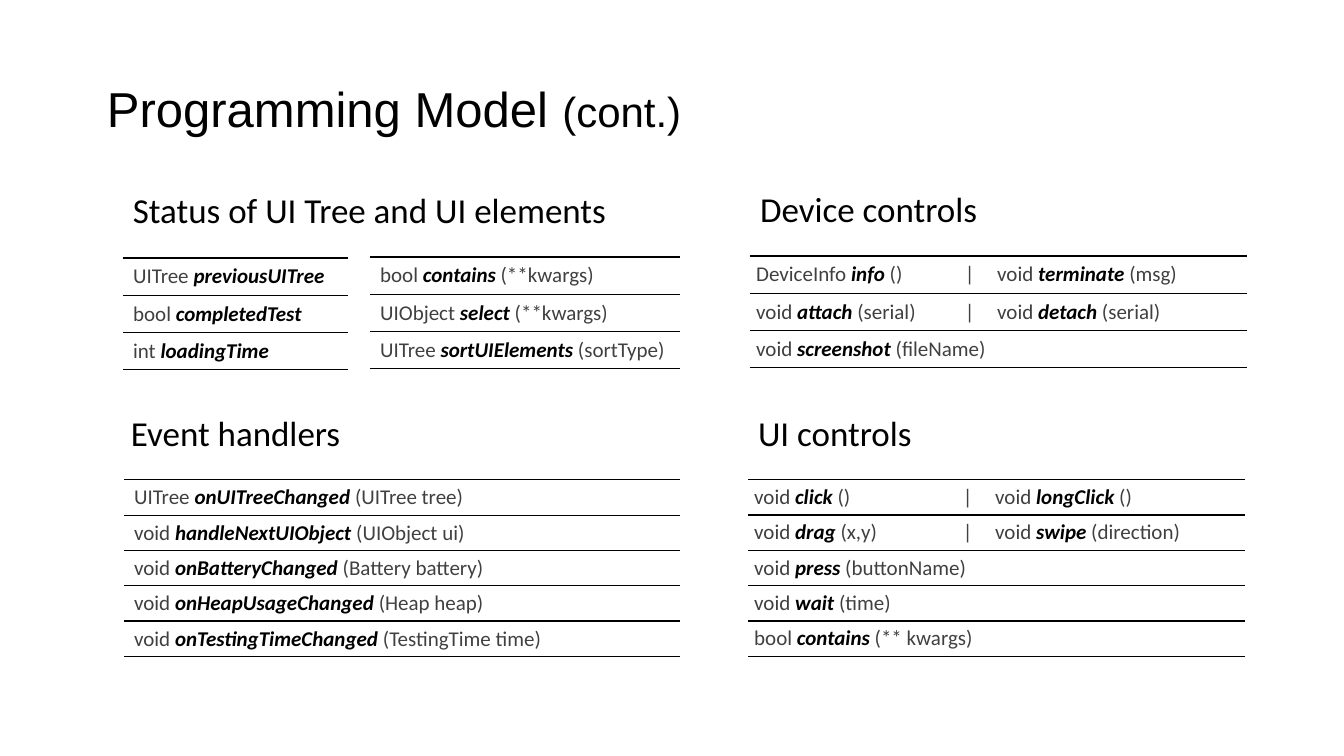
from dataclasses import dataclass
from typing import NamedTuple

import pptx
import pptx.dml.color
import pptx.enum.text
import pptx.oxml
import pptx.oxml.ns
import pptx.util
from pptx.util import Inches


@dataclass(frozen=True)
class Theme:
    ink: str = "000000"
    muted: str = "404040"
    title_font: str = "Arial"
    body_font: str = "Calibri"
    title_size: float = 35
    suffix_size: float = 30
    heading_size: float = 25
    body_size: float = 15
    rule_width: float = 1


class Call(NamedTuple):
    kind: str
    name: str
    args: str = ""


class Heading(NamedTuple):
    text: str
    left: float
    top: float
    width: float


class Listing(NamedTuple):
    left: float
    top: float
    width: float
    row_height: float
    rows: list[list[Call]]
    margin_x: float = 0.1
    margin_y: float = 0.05


THEME = Theme()
TAB_STOPS = (2.07, 2.39)

HEADINGS = [
    Heading("Status of UI Tree and UI elements", 1.22, 1.82, 6.16),
    Heading("Device controls", 7.44, 1.81, 3.45),
    Heading("Event handlers", 1.2, 4.03, 3.19),
    Heading("UI controls", 7.42, 4.03, 3.45),
]

LISTINGS = [
    Listing(1.22, 2.56, 2.23, 0.37, [
        [Call("UITree", "previousUITree")],
        [Call("bool", "completedTest")],
        [Call("int", "loadingTime")],
    ]),
    Listing(3.67, 2.55, 3.07, 0.37, [
        [Call("bool", "contains", "(**kwargs)")],
        [Call("UIObject", "select", "(**kwargs)")],
        [Call("UITree", "sortUIElements", "(sortType)")],
    ]),
    Listing(7.44, 2.54, 4.93, 0.37, [
        [Call("DeviceInfo", "info", "()"), Call("void", "terminate", "(msg)")],
        [Call("void", "attach", "(serial)"), Call("void", "detach", "(serial)")],
        [Call("void", "screenshot", "(fileName)")],
    ], 0.06, 0.03),
    Listing(1.23, 4.76, 5.51, 0.35, [
        [Call("UITree", "onUITreeChanged", "(UITree tree)")],
        [Call("void", "handleNextUIObject", "(UIObject ui)")],
        [Call("void", "onBatteryChanged", "(Battery battery)")],
        [Call("void", "onHeapUsageChanged", "(Heap heap)")],
        [Call("void", "onTestingTimeChanged", "(TestingTime time)")],
    ]),
    Listing(7.42, 4.76, 4.93, 0.35, [
        [Call("void", "click", "()"), Call("void", "longClick", "()")],
        [Call("void", "drag", "(x,y)"), Call("void", "swipe", "(direction)")],
        [Call("void", "press", "(buttonName)")],
        [Call("void", "wait", "(time)")],
        [Call("bool", "contains", "(** kwargs)")],
    ], 0.06, 0.03),
]


def add_run(p, text: str, font: str, size: float, color: str, strong: bool = False) -> None:
    r = p.add_run()
    r.text = text
    r.font.name = font
    r.font.size = pptx.util.Pt(size)
    r.font.color.rgb = pptx.dml.color.RGBColor.from_string(color)
    r.font.bold = r.font.italic = strong


def add_title(slide) -> None:
    sp = slide.shapes.title
    sp.left, sp.top, sp.width, sp.height = map(Inches, (0.96, 0.4, 6.27, 1.41))
    tf = sp.text_frame
    tf.auto_size = pptx.enum.text.MSO_AUTO_SIZE.NONE
    tf.vertical_anchor = pptx.enum.text.MSO_ANCHOR.MIDDLE
    p = tf.paragraphs[0]
    p.alignment = pptx.enum.text.PP_ALIGN.LEFT
    p.line_spacing = 0.9
    add_run(p, "Programming Model ", THEME.title_font, THEME.title_size, THEME.ink)
    add_run(p, "(cont.)", THEME.title_font, THEME.suffix_size, THEME.ink)


def add_heading(slide, heading: Heading) -> None:
    sp = slide.shapes.add_textbox(Inches(heading.left), Inches(heading.top),
                                  Inches(heading.width), Inches(0.52))
    tf = sp.text_frame
    tf.word_wrap = True
    p = tf.paragraphs[0]
    p.space_after = pptx.util.Pt(10)
    add_run(p, heading.text, THEME.body_font, THEME.heading_size, THEME.ink)


def rule_cell(cell) -> None:
    cell.fill.background()
    ns = pptx.oxml.ns.nsdecls("a")
    width = pptx.util.Pt(THEME.rule_width)
    solid = f'<a:solidFill><a:srgbClr val="{THEME.ink}"/></a:solidFill>'
    sides = {"L": "<a:noFill/>", "R": "<a:noFill/>", "T": solid, "B": solid}
    for i, (side, paint) in enumerate(sides.items()):
        ln = pptx.oxml.parse_xml(f'<a:ln{side} {ns} w="{width}">{paint}</a:ln{side}>')
        cell._tc.get_or_add_tcPr().insert(i, ln)


def add_tab_stops(p) -> None:
    ns = pptx.oxml.ns.nsdecls("a")
    tabs = "".join(f'<a:tab pos="{Inches(x)}" algn="l"/>' for x in TAB_STOPS)
    p._p.get_or_add_pPr().append(pptx.oxml.parse_xml(f"<a:tabLst {ns}>{tabs}</a:tabLst>"))


def fill_cell(cell, calls: list[Call]) -> None:
    p = cell.text_frame.paragraphs[0]
    if len(calls) > 1:
        add_tab_stops(p)
    for i, call in enumerate(calls):
        lead = "\t|\t" if i else ""
        add_run(p, f"{lead}{call.kind} ", THEME.body_font, THEME.body_size, THEME.muted)
        add_run(p, call.name, THEME.body_font, THEME.body_size, THEME.ink, True)
        if call.args:
            add_run(p, f" {call.args}", THEME.body_font, THEME.body_size, THEME.muted)


def add_listing(slide, listing: Listing) -> None:
    count = len(listing.rows)
    table = slide.shapes.add_table(
        count, 1, Inches(listing.left), Inches(listing.top),
        Inches(listing.width), Inches(listing.row_height * count)).table
    table.first_row = table.horz_banding = False
    for i, calls in enumerate(listing.rows):
        table.rows[i].height = Inches(listing.row_height)
        cell = table.cell(i, 0)
        cell.margin_left = cell.margin_right = Inches(listing.margin_x)
        cell.margin_top = cell.margin_bottom = Inches(listing.margin_y)
        cell.vertical_anchor = pptx.enum.text.MSO_ANCHOR.MIDDLE
        rule_cell(cell)
        fill_cell(cell, calls)


def main() -> None:
    prs = pptx.Presentation()
    prs.slide_width, prs.slide_height = Inches(13.33), Inches(7.5)
    slide = prs.slides.add_slide(prs.slide_layouts.get_by_name("Title Only"))
    add_title(slide)
    for heading in HEADINGS:
        add_heading(slide, heading)
    for listing in LISTINGS:
        add_listing(slide, listing)
    prs.save("out.pptx")


if __name__ == "__main__":
    main()
